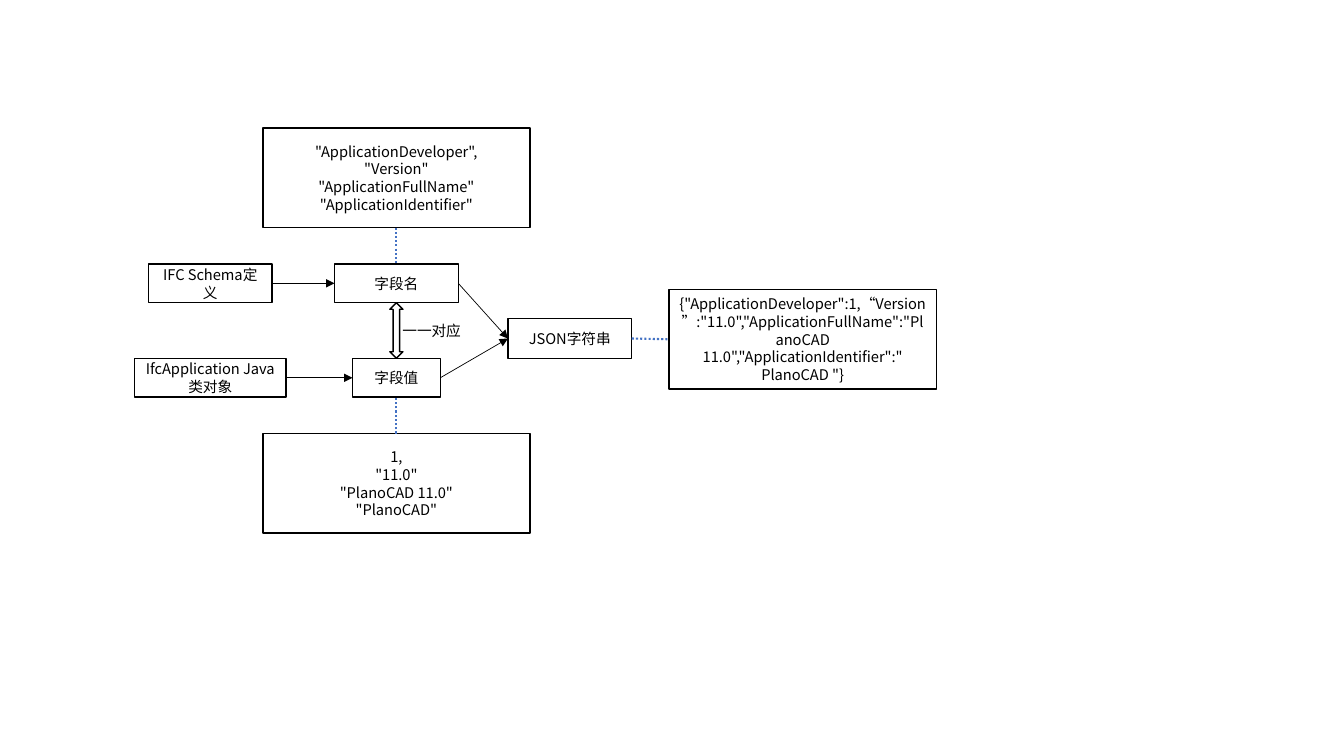
from lxml import etree
from pptx import Presentation
from pptx import util as u
from pptx.dml.color import RGBColor
from pptx.enum import dml, shapes, text
from pptx.oxml.ns import qn

BLACK = RGBColor(0x00, 0x00, 0x00)
WHITE = RGBColor(0xFF, 0xFF, 0xFF)
BLUE = RGBColor(0x44, 0x72, 0xC4)
TOP, LEFT, BOTTOM, RIGHT = range(4)


class Diagram:
    font = "Noto Sans CJK SC"
    size = u.Pt(10.5)
    spacing = u.Pt(12.6)

    def __init__(self, slide):
        self.slide = slide

    def shape(self, kind, x, y, width, height, outlined=True):
        shape = self.slide.shapes.add_shape(
            kind, u.Cm(x - width / 2), u.Cm(y - height / 2), u.Cm(width), u.Cm(height))
        shape.shadow.inherit = False
        shape.fill.solid()
        shape.fill.fore_color.rgb = WHITE
        if outlined:
            shape.line.color.rgb = BLACK
            shape.line.width = u.Pt(1)
        else:
            shape.line.fill.background()
        return shape

    def box(self, words, x, y, width, height, outlined=True):
        box = self.shape(shapes.MSO_SHAPE.FLOWCHART_PROCESS, x, y, width, height, outlined)
        frame = box.text_frame
        frame.word_wrap = True
        frame.vertical_anchor = text.MSO_ANCHOR.MIDDLE
        frame.text = words
        for paragraph in frame.paragraphs:
            paragraph.alignment = text.PP_ALIGN.CENTER
            paragraph.line_spacing = self.spacing
            for run in paragraph.runs:
                run.font.size = self.size
                run.font.name = self.font
                run.font.color.rgb = BLACK
                east_asian = etree.SubElement(run.font._element, qn("a:ea"))
                east_asian.set("typeface", self.font)
        return box

    def connect(self, source, source_side, target, target_side, color, width):
        link = self.slide.shapes.add_connector(shapes.MSO_CONNECTOR.STRAIGHT, 0, 0, 0, 0)
        link.begin_connect(source, source_side)
        link.end_connect(target, target_side)
        link.line.color.rgb = color
        link.line.width = u.Pt(width)
        etree.SubElement(link._element.spPr, qn("a:effectLst"))
        return link

    def arrow(self, source, source_side, target, target_side):
        link = self.connect(source, source_side, target, target_side, BLACK, 0.5)
        etree.SubElement(link.line._get_or_add_ln(), qn("a:tailEnd")).set("type", "triangle")

    def example_link(self, source, source_side, target, target_side):
        link = self.connect(source, source_side, target, target_side, BLUE, 1.5)
        link.line.dash_style = dml.MSO_LINE.ROUND_DOT


def main():
    deck = Presentation()
    deck.slide_width, deck.slide_height = u.Cm(33.87), u.Cm(19.05)
    diagram = Diagram(deck.slides.add_slide(deck.slide_layouts[6]))

    axis, name_row, value_row = 9.99, 7.14, 9.52
    example = (6.73, 2.51)

    diagram.box("一一对应", 10.88, 8.33, 2.06, 0.91, outlined=False)
    name_example = diagram.box(
        '"ApplicationDeveloper",\n"Version"\n"ApplicationFullName"\n"ApplicationIdentifier"',
        axis, 4.48, *example)
    value_example = diagram.box('1,\n"11.0"\n"PlanoCAD 11.0"\n"PlanoCAD"', axis, 12.18, *example)
    json_example = diagram.box(
        '{"ApplicationDeveloper":1,“Version”:"11.0","ApplicationFullName":"PlanoCAD 11.0",'
        '"ApplicationIdentifier":" PlanoCAD "}', 20.23, 8.55, *example)

    schema = diagram.box("IFC Schema定义", 5.3, name_row, 3.12, 0.97)
    java_object = diagram.box("IfcApplication Java类对象", 5.3, value_row, 3.81, 0.97)
    field_name = diagram.box("字段名", axis, name_row, 3.12, 0.97)
    field_value = diagram.box("字段值", axis, value_row, 2.21, 0.97)
    json_string = diagram.box("JSON字符串", 14.36, 8.53, 3.12, 1.02)
    diagram.shape(shapes.MSO_SHAPE.UP_DOWN_ARROW, axis, (name_row + value_row) / 2, 0.33, 1.4)

    diagram.arrow(schema, RIGHT, field_name, LEFT)
    diagram.arrow(java_object, RIGHT, field_value, LEFT)
    diagram.arrow(field_name, RIGHT, json_string, LEFT)
    diagram.arrow(field_value, RIGHT, json_string, LEFT)
    diagram.example_link(name_example, BOTTOM, field_name, TOP)
    diagram.example_link(value_example, TOP, field_value, BOTTOM)
    diagram.example_link(json_string, RIGHT, json_example, LEFT)

    deck.save("out.pptx")


if __name__ == "__main__":
    main()
